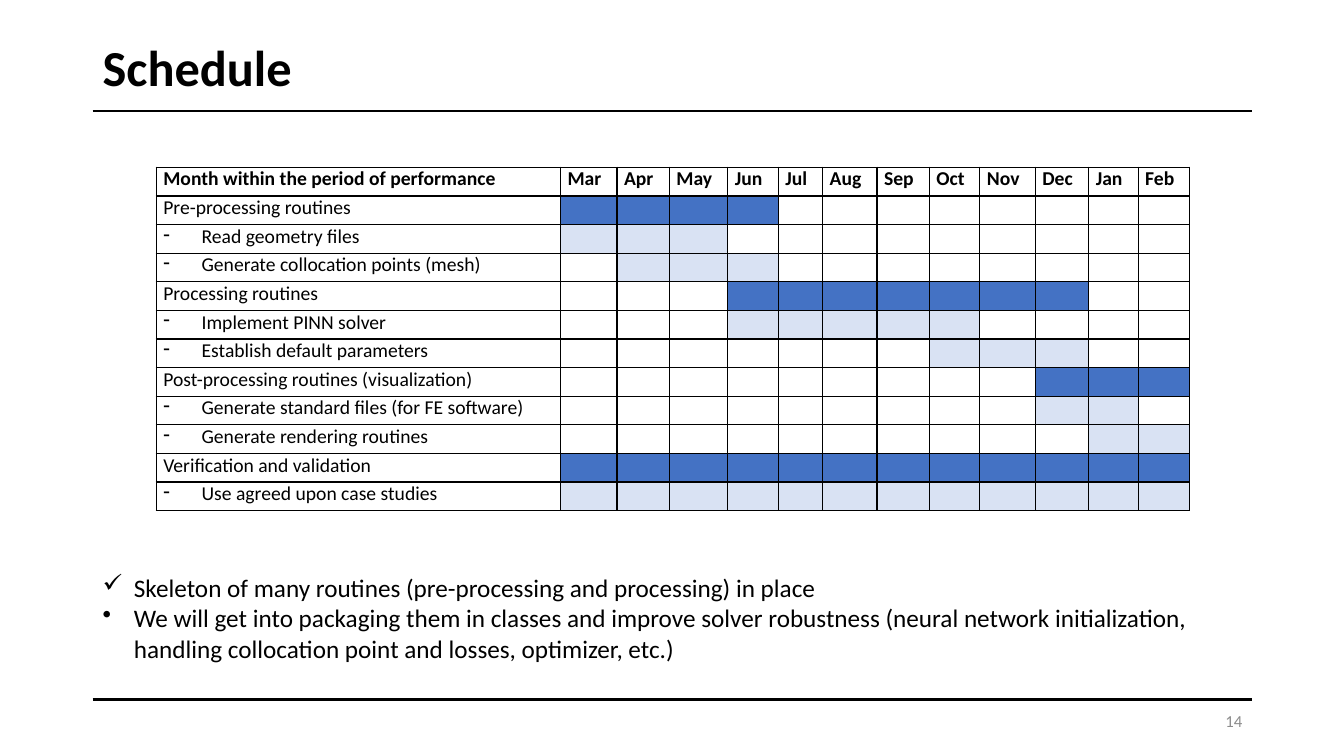
from dataclasses import dataclass

from lxml import etree
from pptx import Presentation
from pptx.dml.color import RGBColor
from pptx.enum.shapes import MSO_CONNECTOR
from pptx.enum.text import MSO_ANCHOR, PP_ALIGN
from pptx.oxml.ns import qn
from pptx.util import Inches, Pt

STRAIGHT = MSO_CONNECTOR.STRAIGHT
MIDDLE, TOP = MSO_ANCHOR.MIDDLE, MSO_ANCHOR.TOP
LEFT, RIGHT, JUSTIFY = PP_ALIGN.LEFT, PP_ALIGN.RIGHT, PP_ALIGN.JUSTIFY


@dataclass(frozen=True)
class Theme:
    font: str = "Calibri"
    ink: str = "000000"
    muted: str = "8C8C8C"
    phase: str = "4472C4"
    task: str = "D9E2F3"
    title_size: int = 36
    body_size: int = 18
    table_size: int = 14
    number_size: int = 12
    rule_width: float = 1.5
    border_width: float = 1


THEME = Theme()

MONTHS = ["Mar", "Apr", "May", "Jun", "Jul", "Aug",
          "Sep", "Oct", "Nov", "Dec", "Jan", "Feb"]
COLUMN_WIDTHS = [4.01, 0.56, 0.52, 0.58, 0.5, 0.44, 0.54,
                 0.52, 0.5, 0.55, 0.53, 0.49, 0.51]
# Activity, first month, last month, whether it is a task within a phase
ACTIVITIES = [
    ("Pre-processing routines", "Mar", "Jun", False),
    ("Read geometry files", "Mar", "May", True),
    ("Generate collocation points (mesh)", "Apr", "Jun", True),
    ("Processing routines", "Jun", "Dec", False),
    ("Implement PINN solver", "Jun", "Oct", True),
    ("Establish default parameters", "Oct", "Dec", True),
    ("Post-processing routines (visualization)", "Dec", "Feb", False),
    ("Generate standard files (for FE software)", "Dec", "Jan", True),
    ("Generate rendering routines", "Jan", "Feb", True),
    ("Verification and validation", "Mar", "Feb", False),
    ("Use agreed upon case studies", "Mar", "Feb", True),
]
STATUS = [
    ("✓", "Skeleton of many routines (pre-processing and processing) in place"),
    ("•", "We will get into packaging them in classes and improve solver "
          "robustness (neural network initialization, handling collocation "
          "point and losses, optimizer, etc.)"),
]


def write(paragraph, text, *, size, color=THEME.ink, bold=False, align=LEFT,
          bullet=None, indent=0, line_spacing=None):
    """Fill a paragraph; a bullet hangs to the left by the indent."""
    paragraph.alignment = align
    if line_spacing:
        paragraph.line_spacing = line_spacing
    if bullet:
        properties = paragraph._p.get_or_add_pPr()
        properties.set("marL", str(Inches(indent)))
        properties.set("indent", str(-Inches(indent)))
        etree.SubElement(properties, qn("a:buChar"), char=bullet)
    run = paragraph.add_run()
    run.text = text
    run.font.name = THEME.font
    run.font.size = Pt(size)
    run.font.bold = bold
    run.font.color.rgb = RGBColor.from_string(color)


class SlideBuilder:
    def __init__(self, slide, theme):
        self.slide = slide
        self.theme = theme

    def rule(self, left, right, y):
        line = self.slide.shapes.add_connector(
            STRAIGHT, Inches(left), Inches(y), Inches(right), Inches(y))
        line.line.color.rgb = RGBColor.from_string(self.theme.ink)
        line.line.width = Pt(self.theme.rule_width)
        etree.SubElement(line._element.spPr, qn("a:effectLst"))

    def text_box(self, left, top, width, height, anchor=TOP):
        frame = self.slide.shapes.add_textbox(
            Inches(left), Inches(top), Inches(width), Inches(height)).text_frame
        frame.word_wrap = True
        frame.vertical_anchor = anchor
        return frame

    def label(self, text, *box, anchor=TOP, **text_format):
        write(self.text_box(*box, anchor=anchor).paragraphs[0], text, **text_format)

    def bullets(self, items, *box):
        frame = self.text_box(*box)
        for index, (mark, text) in enumerate(items):
            paragraph = frame.add_paragraph() if index else frame.paragraphs[0]
            write(paragraph, text, size=self.theme.body_size, bullet=mark, indent=0.31)

    def cell(self, cell, text="", fill=None, **text_format):
        cell.margin_left = cell.margin_right = Inches(0.07)
        cell.margin_top = cell.margin_bottom = 0
        for side in ("a:lnL", "a:lnR", "a:lnT", "a:lnB"):
            border = etree.SubElement(cell._tc.get_or_add_tcPr(), qn(side),
                                      w=str(Pt(self.theme.border_width)))
            solid = etree.SubElement(border, qn("a:solidFill"))
            etree.SubElement(solid, qn("a:srgbClr"), val=self.theme.ink)
        if fill:
            cell.fill.solid()
            cell.fill.fore_color.rgb = RGBColor.from_string(fill)
        else:
            cell.fill.background()
        paragraph = cell.text_frame.paragraphs[0]
        if text:
            write(paragraph, text, size=self.theme.table_size, align=JUSTIFY,
                  **text_format)
        else:
            # Keeps an empty cell from growing to the default type size
            etree.SubElement(paragraph._p, qn("a:endParaRPr"),
                             sz=str(self.theme.table_size * 100))

    def schedule(self, left, top, height):
        table = self.slide.shapes.add_table(
            len(ACTIVITIES) + 1, len(COLUMN_WIDTHS), Inches(left), Inches(top),
            Inches(sum(COLUMN_WIDTHS)), Inches(height)).table
        table.first_row = table.horz_banding = False
        for column, width in zip(table.columns, COLUMN_WIDTHS):
            column.width = Inches(width)
        headings = ["Month within the period of performance", *MONTHS]
        for column, heading in enumerate(headings):
            self.cell(table.cell(0, column), heading, bold=True)
        for row, (activity, first, last, is_task) in enumerate(ACTIVITIES, 1):
            self.cell(table.cell(row, 0), activity,
                      bullet="-" if is_task else None, indent=0.38)
            color = self.theme.task if is_task else self.theme.phase
            start, end = MONTHS.index(first), MONTHS.index(last)
            for month in range(len(MONTHS)):
                self.cell(table.cell(row, month + 1),
                          fill=color if start <= month <= end else None)


def main():
    presentation = Presentation()
    presentation.slide_width = Inches(13.33)
    presentation.slide_height = Inches(7.5)
    slide = presentation.slides.add_slide(presentation.slide_layouts[6])
    builder = SlideBuilder(slide, THEME)

    for rule_y in (6.94, 1.1):
        builder.rule(0.92, 12.42, rule_y)
    builder.label("14", 11.42, 7, 1, 0.3, size=THEME.number_size,
                  color=THEME.muted, align=RIGHT)
    builder.label("Schedule", 0.92, 0.29, 11.5, 0.81, anchor=MIDDLE,
                  size=THEME.title_size, bold=True, line_spacing=0.9)
    builder.schedule(1.55, 1.66, 3.41)
    builder.bullets(STATUS, 0.92, 5.63, 11.5, 1.01)

    presentation.save("out.pptx")


if __name__ == "__main__":
    main()
